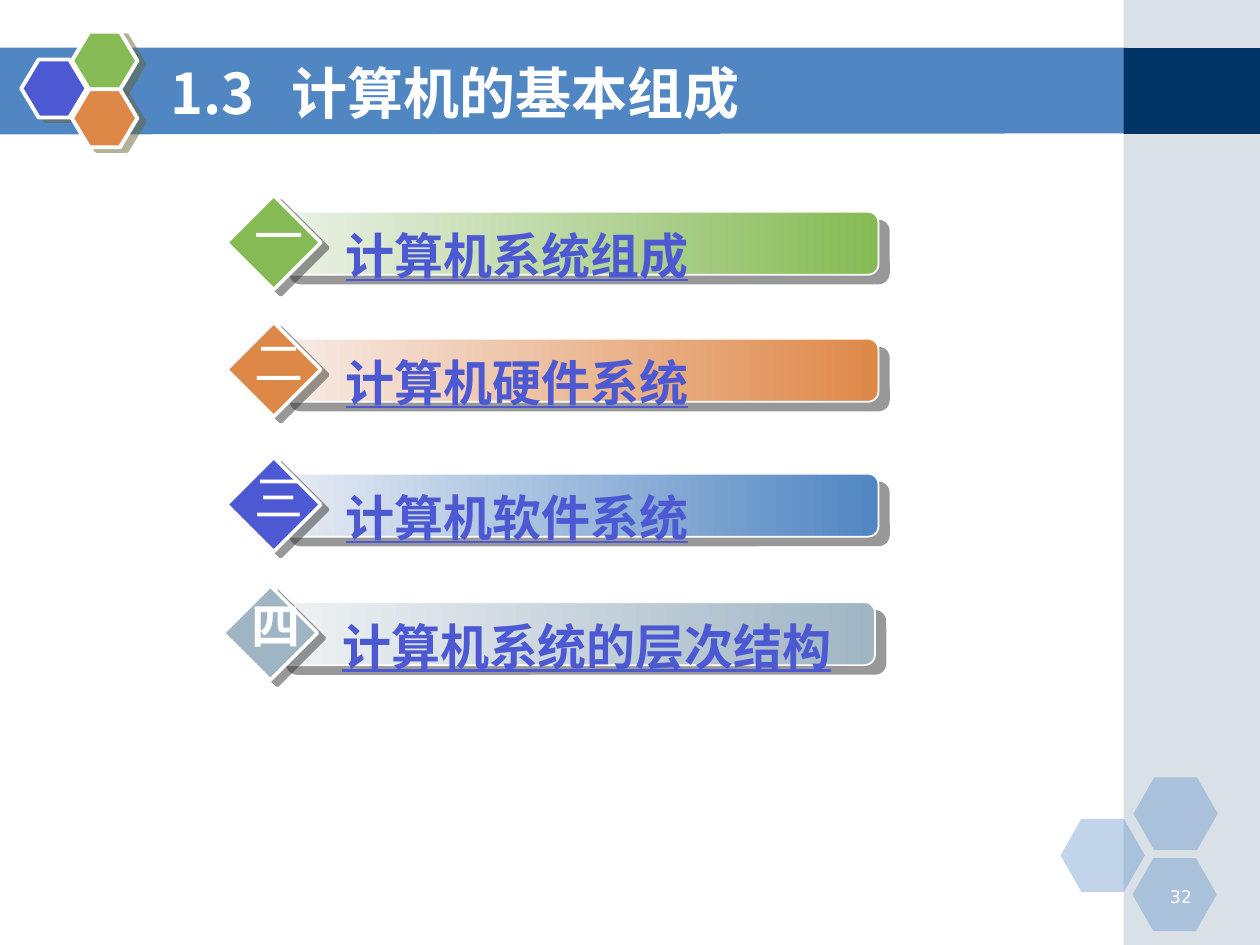
from lxml.etree import SubElement
from pptx import Presentation
from pptx.dml.color import RGBColor
from pptx.enum.shapes import MSO_SHAPE as SHAPE
from pptx.enum.text import MSO_ANCHOR as ANCHOR, MSO_AUTO_SIZE as AUTO, PP_ALIGN as ALIGN
from pptx.oxml.ns import qn
from pptx.util import Cm, Pt

WHITE = RGBColor(0xFF, 0xFF, 0xFF)
BLUE = RGBColor(0x50, 0x86, 0xC2)
NAVY = RGBColor(0x00, 0x33, 0x66)
INDIGO = RGBColor(0x4C, 0x59, 0xD2)
GREEN = RGBColor(0x85, 0xBA, 0x54)
ORANGE = RGBColor(0xDE, 0x88, 0x48)
GREY = RGBColor(0xA0, 0xB5, 0xC4)
PALE_GREEN = RGBColor(0xEC, 0xF2, 0xE8)
PALE_ORANGE = RGBColor(0xF8, 0xEC, 0xE7)
PALE_BLUE = RGBColor(0xE8, 0xEC, 0xF4)
PALE_GREY = RGBColor(0xEF, 0xF2, 0xF4)
OLIVE_SHADOW = RGBColor(0x66, 0x66, 0x33)
DARK_SHADOW = RGBColor(0x33, 0x33, 0x33)

CJK_FONT = "Noto Sans CJK SC"


def add_color(parent, color, alpha):
    clr = SubElement(parent, qn("a:srgbClr"), val=str(color))
    SubElement(clr, qn("a:alpha"), val=str(alpha * 1000))


def add_shadow(sp, color, dist, angle):
    """Half-transparent hard shadow; dist in points, angle in degrees."""
    effects = sp._element.spPr.find(qn("a:effectLst"))
    outer = SubElement(effects, qn("a:outerShdw"), dist=str(Pt(dist)),
                       dir=str(angle * 60000), algn="ctr", rotWithShape="0")
    add_color(outer, color, 50)


def style(sp, fill=None, line_width=None, alpha=None):
    """Flat fill with an optional white outline and opacity in percent."""
    sp.shadow.inherit = False
    if fill is not None:
        sp.fill.solid()
        sp.fill.fore_color.rgb = fill
    if alpha is not None:
        clr = sp._element.spPr.find(qn("a:solidFill")).find(qn("a:srgbClr"))
        SubElement(clr, qn("a:alpha"), val=str(alpha * 1000))
    if line_width is None:
        sp.line.fill.background()
    else:
        sp.line.color.rgb = WHITE
        sp.line.width = Pt(line_width)


def add_box(shapes, kind, x, y, w, h, adj=None):
    sp = shapes.add_shape(kind, Cm(x), Cm(y), Cm(w), Cm(h))
    if adj is not None:
        sp.adjustments[0] = adj
    return sp


def add_text(shapes, x, y, w, h, wrap=True):
    tf = shapes.add_textbox(Cm(x), Cm(y), Cm(w), Cm(h)).text_frame
    tf.word_wrap = wrap
    return tf


def add_run(p, text, size, color, font="Arial", bold=False, underline=None):
    r = p.add_run()
    r.text = text
    r.font.size = Pt(size)
    r.font.bold = bold
    r.font.underline = underline
    r.font.color.rgb = color
    r.font.name = font
    SubElement(r._r.get_or_add_rPr(), qn("a:ea"), typeface=font)


def add_title_bar(shapes, x, y, w, h):
    builder = shapes.build_freeform(Cm(x), Cm(y))
    builder.add_line_segments([(Cm(x + w), Cm(y)), (Cm(x + w), Cm(y + h - 0.02)),
                               (Cm(x), Cm(y + h))])
    style(builder.convert_to_shape(), BLUE)


def add_side_band(shapes, x, y, w, h):
    style(add_box(shapes, SHAPE.RECTANGLE, x, y, w, h), GREY, alpha=40)
    style(add_box(shapes, SHAPE.RECTANGLE, x, y + 0.97, w, 1.73), NAVY)


def add_faint_hexagons(shapes, x, y):
    for dx, dy in ((0, 0.84), (1.47, 0), (1.45, 1.63)):
        sp = add_box(shapes, SHAPE.HEXAGON, x + dx, y + dy, 1.7, 1.47, 0.286)
        style(sp, BLUE, alpha=35)


def add_hexagon_cluster(shapes, x, y):
    for dx, dy, color in ((0, 0.56, INDIGO), (1.02, 0, GREEN), (1.02, 1.16, ORANGE)):
        sp = add_box(shapes, SHAPE.HEXAGON, x + dx, y + dy, 1.32, 1.17, 0.3)
        style(sp, color, 2.25)
        add_shadow(sp, OLIVE_SHADOW, 4.5, 27)


def add_title(shapes, x, y, w, h, number, title):
    tf = add_text(shapes, x, y, w, h)
    tf.vertical_anchor = ANCHOR.MIDDLE
    p = tf.paragraphs[0]
    tabs = SubElement(p._p.get_or_add_pPr(), qn("a:tabLst"))
    SubElement(tabs, qn("a:tab"), pos=str(Cm(2.45)), algn="l")
    add_run(p, f"{number}\t{title}", 32, WHITE, CJK_FONT, bold=True)


def add_page_number(shapes, x, y, w, h, number):
    p = add_text(shapes, x, y, w, h).paragraphs[0]
    p.alignment = ALIGN.RIGHT
    add_run(p, number, 10, WHITE, "DejaVu Sans")


def add_agenda_row(shapes, x, y, numeral, label, diamond_color, pale, deep,
                   label_width=9.53, bold_numeral=False):
    """Gradient bar led by a numbered diamond whose box starts at x, y."""
    bar = add_box(shapes, SHAPE.ROUNDED_RECTANGLE, x + 1.07, y + 0.33, 12.07, 1.27, 0.167)
    bar.fill.gradient()
    bar.fill.gradient_angle = 0
    for stop, color in zip(bar.fill.gradient_stops, (pale, deep)):
        stop.color.rgb = color
    style(bar, line_width=1)
    add_shadow(bar, DARK_SHADOW, 7.8, 40)

    diamond = add_box(shapes, SHAPE.DIAMOND, x, y, 1.9, 1.9)
    style(diamond, diamond_color, 2)
    add_shadow(diamond, DARK_SHADOW, 5, 37)

    tf = add_text(shapes, x + 1.7, y + 0.49, label_width, 1.45)
    tf.margin_left = Cm(0.7)
    tf.auto_size = AUTO.SHAPE_TO_FIT_TEXT
    add_run(tf.paragraphs[0], label, 28, INDIGO, bold=True, underline=True)

    tf = add_text(shapes, x + 0.32, y + 0.07, 1.5, 1.45, wrap=False)
    tf.auto_size = AUTO.SHAPE_TO_FIT_TEXT
    add_run(tf.paragraphs[0], numeral, 28, WHITE, bold=bold_numeral)


def main():
    prs = Presentation()
    prs.slide_width, prs.slide_height = Cm(25.4), Cm(19.05)
    s = prs.slides.add_slide(prs.slide_layouts[6])
    shapes = s.shapes

    add_title_bar(shapes, -0.02, 0.96, 22.75, 1.75)
    add_side_band(shapes, 22.65, 0, 2.75, 19.05)
    add_faint_hexagons(shapes, 21.38, 15.67)
    add_hexagon_cluster(shapes, 0.43, 0.64)
    add_page_number(shapes, 23.01, 17.73, 1.27, 0.64, "32")
    add_title(shapes, 3.18, 1.07, 18.62, 1.57, "1.3", "计算机的基本组成")

    add_agenda_row(shapes, 4.5, 11.81, "四", "计算机系统的层次结构", GREY, PALE_GREY, GREY,
                   label_width=11.1, bold_numeral=True)
    for y, *row in (
        (3.94, "一", "计算机系统组成", GREEN, PALE_GREEN, GREEN),
        (9.22, "三", "计算机软件系统", INDIGO, PALE_BLUE, BLUE),
        (6.5, "二", "计算机硬件系统", ORANGE, PALE_ORANGE, ORANGE),
    ):
        add_agenda_row(shapes.add_group_shape().shapes, 4.57, y, *row)

    prs.save("out.pptx")


if __name__ == "__main__":
    main()
